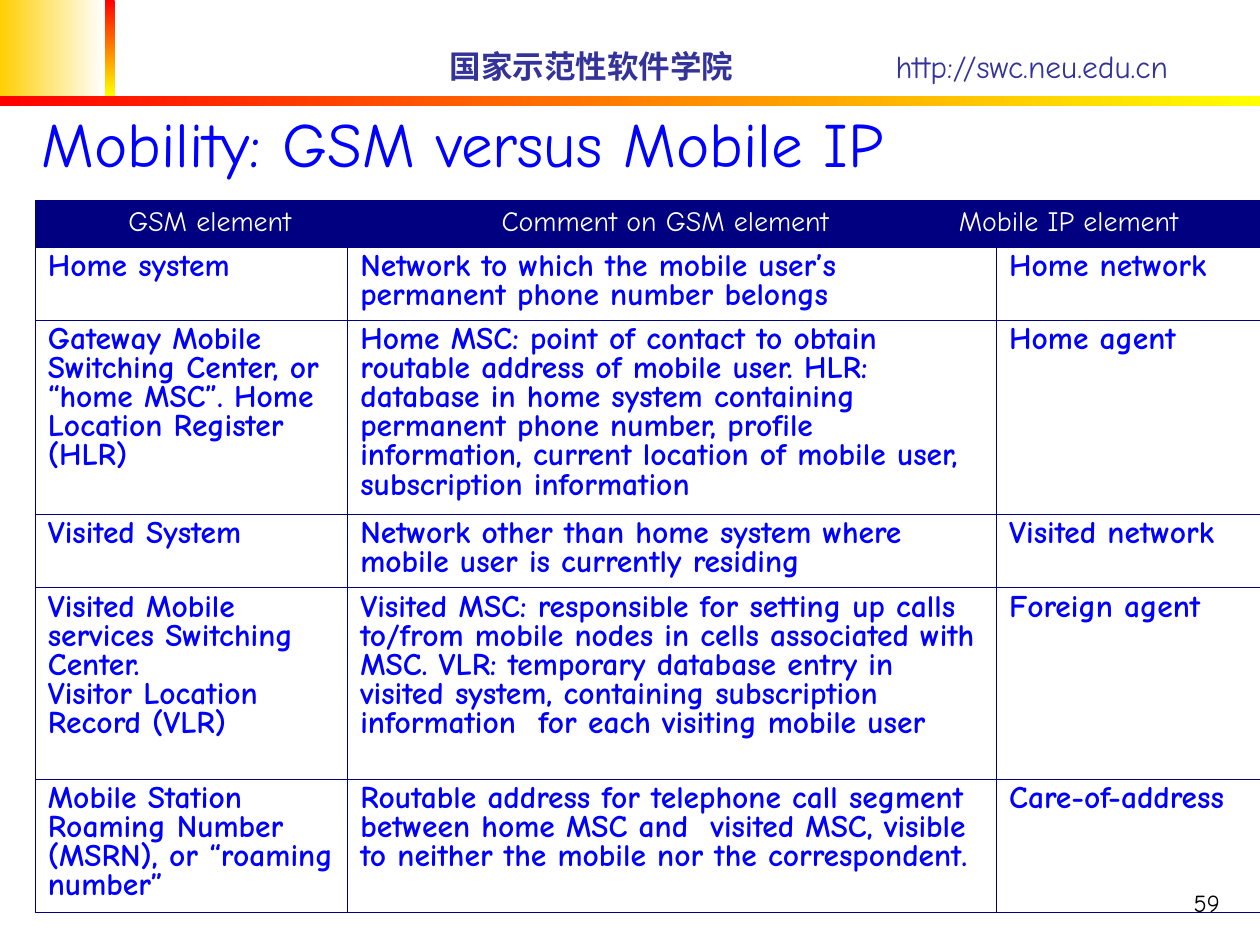
from lxml.etree import SubElement
from pptx import Presentation
from pptx.dml.color import RGBColor
from pptx.enum.shapes import MSO_SHAPE as Shape
from pptx.enum.text import MSO_ANCHOR as Anchor, PP_ALIGN as Align
from pptx.oxml import parse_xml
from pptx.oxml.ns import nsdecls, qn
from pptx.util import Emu, Inches, Pt

FONT = "Comic Neue"
BLUE, NAVY = "0000FF", "000080"
WIDTH, HEIGHT = 10, 7.5
BAR_TOP, BAR = 0.76, 0.08
BLOCK = 0.83

TITLE = "Mobility: GSM versus Mobile IP"
SCHOOL, ADDRESS = "国家示范性软件学院", "http://swc.neu.edu.cn"
PAGE_NUMBER = "59"

GRADIENTS = [
    (0, 0, BLOCK, BAR_TOP, "FFCF01", "FFFFFF", 0),
    (BLOCK, 0, BAR, BAR_TOP, "FF0000", "FFFF00", 270),
    (0, BAR_TOP, WIDTH, BAR, "FF0000", "FFFF00", 0),
]
COLUMNS = [2.48, 0.29, 4.46, 0.4, 2.09]
ROWS = [0.37, 0.58, 1.54, 0.58, 1.52, 1.06]
HEADER_SPANS = [(0, 1), (2, 2), (3, 4)]
BODY_SPANS = [(0, 0), (1, 3), (4, 4)]
HEADER_ALIGN = [Align.CENTER, Align.CENTER, Align.LEFT]
CONTENT = [
    ("GSM element", "Comment on GSM element", "Mobile IP element"),
    ("Home system",
     "Network to which the mobile user’s permanent phone number belongs",
     "Home network"),
    ("Gateway Mobile Switching Center, or “home MSC”. Home Location Register (HLR)",
     "Home MSC: point of contact to obtain routable address of mobile user. "
     "HLR: database in home system containing permanent phone number, profile "
     "information, current location of mobile user, subscription information",
     "Home agent"),
    ("Visited System",
     "Network other than home system where mobile user is currently residing",
     "Visited network"),
    ("Visited Mobile services Switching Center.\nVisitor Location Record (VLR)",
     "Visited MSC: responsible for setting up calls to/from mobile nodes in cells "
     "associated with MSC. VLR: temporary database entry in visited system, "
     "containing subscription information  for each visiting mobile user",
     "Foreign agent"),
    ("Mobile Station Roaming Number (MSRN), or “roaming number”",
     "Routable address for telephone call segment between home MSC and  visited "
     "MSC, visible to neither the mobile nor the correspondent.",
     "Care-of-address"),
]


def color(value):
    """Turn a hex string into a colour."""
    return RGBColor.from_string(value)


def style(frame, size, value, bold=False, align=Align.LEFT, spacing=None):
    """Format every paragraph and run of a text frame."""
    for para in frame.paragraphs:
        para.alignment = align
        para.line_spacing = spacing
        for span in para.runs:
            span.font.name = FONT
            span.font.size = Pt(size)
            span.font.bold = bold
            span.font.color.rgb = color(value)


def add_gradient(page, left, top, width, height, start, end, angle):
    """Add a borderless rectangle with a linear two-colour fill."""
    box = page.shapes.add_shape(
        Shape.RECTANGLE, *map(Inches, (left, top, width, height)))
    box.shadow.inherit = False
    box.line.fill.background()
    box.fill.gradient()
    box.fill.gradient_angle = angle
    for stop, value, position in zip(box.fill.gradient_stops, (start, end), (0, 1)):
        stop.color.rgb = color(value)
        stop.position = position


def add_text(page, text, left, top, width, height, anchor):
    """Add a wrapping text box and return its frame."""
    frame = page.shapes.add_textbox(
        *map(Inches, (left, top, width, height))).text_frame
    frame.word_wrap = True
    frame.vertical_anchor = anchor
    frame.text = text
    return frame


def add_banner(page):
    """Add the school name and its address, parted by a tab stop."""
    frame = add_text(page, f"{SCHOOL}\t{ADDRESS}", 3.47, 0.32, 6.3, 0.4, Anchor.MIDDLE)
    para = frame.paragraphs[0]
    tabs = SubElement(para._p.get_or_add_pPr(), qn("a:tabLst"))
    SubElement(tabs, qn("a:tab"), pos=str(Inches(3.54)), algn="l")
    para.text = f"{SCHOOL}\t"
    para.add_run().text = ADDRESS
    style(frame, 18, "333399")
    para.runs[0].font.bold = True


def add_borders(cell):
    """Draw the four borders of a table cell."""
    properties = cell._tc.get_or_add_tcPr()
    for index, side in enumerate("LRTB"):
        properties.insert(index, parse_xml(
            f'<a:ln{side} {nsdecls("a")} w="{Pt(0.45)}"><a:solidFill>'
            f'<a:srgbClr val="{NAVY}"/></a:solidFill></a:ln{side}>'))


def add_comparison(page):
    """Add the table of GSM and Mobile IP elements."""
    table = page.shapes.add_table(
        len(ROWS), len(COLUMNS), Inches(0.28), Inches(1.59),
        Emu(sum(map(Inches, COLUMNS))), Emu(sum(map(Inches, ROWS)))).table
    table.first_row = table.horz_banding = False
    for column, width in zip(table.columns, COLUMNS):
        column.width = Inches(width)
    for row, height in zip(table.rows, ROWS):
        row.height = Inches(height)
    for index, texts in enumerate(CONTENT):
        header = index == 0
        for cell in table.rows[index].cells:
            if header:
                cell.fill.solid()
                cell.fill.fore_color.rgb = color(NAVY)
            else:
                cell.fill.background()
            add_borders(cell)
        spans = HEADER_SPANS if header else BODY_SPANS
        for text, (first, last), align in zip(texts, spans, HEADER_ALIGN):
            cell = table.cell(index, first)
            if last > first:
                cell.merge(table.cell(index, last))
            cell.text_frame.text = text
            if header:
                style(cell.text_frame, 16, "FFFFFF", align=align)
            else:
                style(cell.text_frame, 18, BLUE, bold=True, spacing=0.8)


def main():
    """Build the slide and save it."""
    deck = Presentation()
    deck.slide_width, deck.slide_height = Inches(WIDTH), Inches(HEIGHT)
    page = deck.slides.add_slide(deck.slide_layouts[5])
    for gradient in GRADIENTS:
        add_gradient(page, *gradient)
    add_banner(page)
    title = page.shapes.title
    title.left, title.top, title.width, title.height = map(
        Inches, (0.23, 0.32, 9.53, 1.16))
    title.text_frame.text = TITLE
    title.text_frame.vertical_anchor = Anchor.BOTTOM
    style(title.text_frame, 36, BLUE)
    add_comparison(page)
    number = add_text(page, PAGE_NUMBER, 7.7, 6.83, 2.08, 0.5, Anchor.BOTTOM)
    style(number, 14, "000000", align=Align.RIGHT)
    deck.save("out.pptx")


if __name__ == "__main__":
    main()
